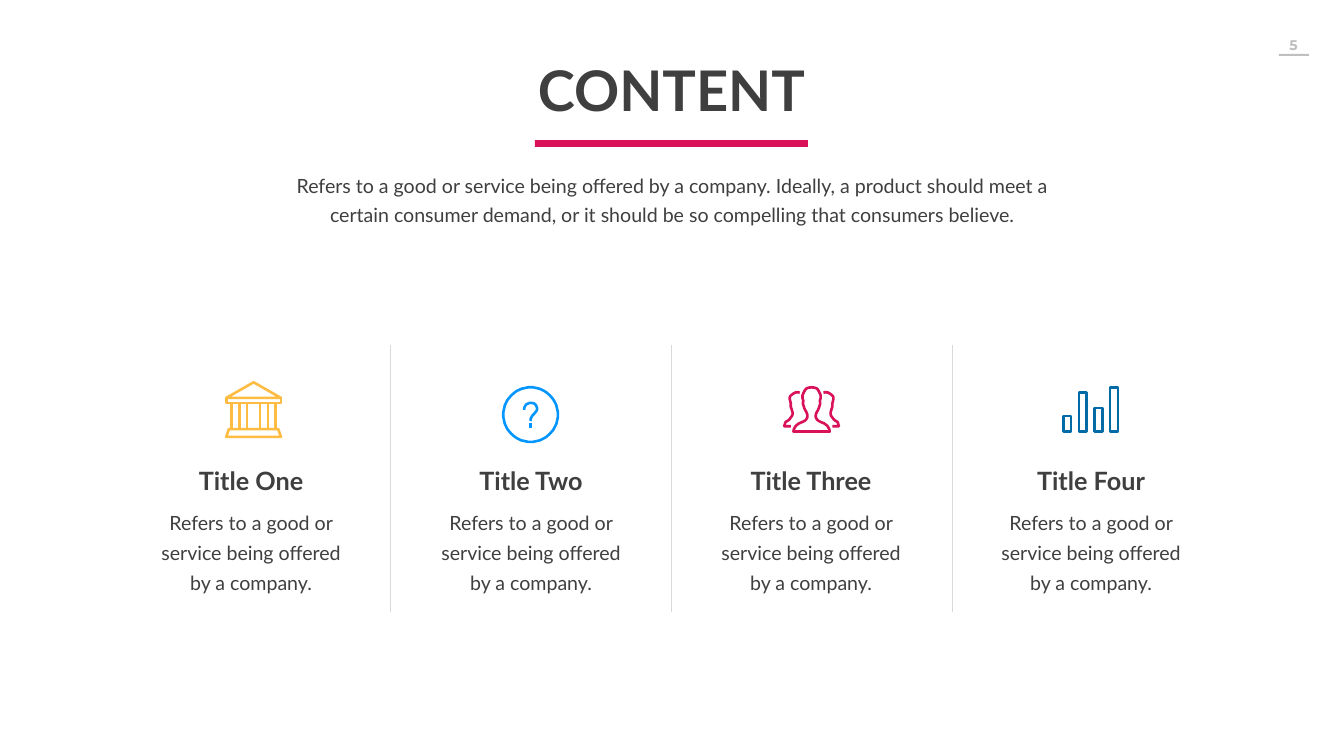
import math

import lxml.etree
import pptx
import pptx.dml.color
import pptx.enum.shapes
import pptx.enum.text
import pptx.oxml.ns
import pptx.util

PX = 914400 / 50.4   # EMU in one px
UNIT = PX * 0.26     # EMU in one icon grid unit; icons are 220 units wide
COLORS = {"dark": "3F3F3F", "gray": "BFBFBF", "rule": "D9D9D9", "red": "D81159",
          "gold": "FFBC42", "sky": "0496FF", "blue": "006BA6"}
SHAPES = pptx.enum.shapes.MSO_SHAPE
qn = pptx.oxml.ns.qn


def px(n):
    return pptx.util.Emu(round(n * PX))


def color(name):
    return pptx.dml.color.RGBColor.from_string(COLORS[name])


# Icon outlines
def box(left, top, right, low):
    return [(left, top), (right, top), (right, low), (left, low), (left, top)]


def flip(pts):
    return [(220 - x, y) for x, y in pts]


def curve(pts, steps=6):
    """Catmull-Rom curve through the points."""
    ends = [pts[0]] + pts + [pts[-1]]
    out = []
    for a, b, c, d in zip(ends, ends[1:], ends[2:], ends[3:]):
        for i in range(steps):
            t = i / steps
            out.append(tuple(
                0.5 * (2 * q + (r - p) * t + (2 * p - 5 * q + 4 * r - s) * t ** 2
                       + (3 * q - p - 3 * r + s) * t ** 3)
                for p, q, r, s in zip(a, b, c, d)))
    return out + [pts[-1]]


def bank():
    roof = [(5, 65), (110, 5), (215, 65), (5, 65)]
    base = [(15, 185), (205, 185), (215, 215), (5, 215), (15, 185)]
    posts = [[(x, 85), (x, 185)] for x in (25, 55, 85, 135, 165, 195)]
    return [roof, box(5, 65, 215, 85), base] + posts


def query():
    ring = [(110 + 105 * math.cos(math.tau * i / 72),
             110 + 105 * math.sin(math.tau * i / 72)) for i in range(72)]
    hook = curve([(85, 92), (87, 81), (95, 70), (111, 65), (127, 70), (135, 85),
                  (132, 97), (118, 113), (111, 124), (110, 135)])
    return [ring + ring[:1], hook, [(110, 143), (110, 160)]]


def people():
    half = curve([(110, 5), (129, 9), (139, 23), (145, 40), (142, 58), (143, 67),
                  (138, 85), (126, 112), (132, 130), (149, 140), (163, 147),
                  (174, 158), (180, 175)])
    side = curve([(156, 26), (164, 24), (180, 29), (194, 44), (190, 66), (190, 79),
                  (183, 108), (197, 130), (210, 139), (215, 155)]) + [(190, 155)]
    return [half + flip(half)[::-1], side, flip(side)]


def bars():
    return [box(5 + 60 * i, top, 35 + 60 * i, 175)
            for i, top in enumerate((115, 25, 85, 5))]


class Deck:
    def __init__(self, wide, high):
        self.font, self.ink = "Lato", "dark"
        self.prs = pptx.Presentation()
        self.prs.slide_width, self.prs.slide_height = px(wide), px(high)
        self.slide = self.prs.slides.add_slide(self.prs.slide_layouts[1])
        self.shapes = self.slide.shapes

    def fill_in(self, shape, text, size, bold=False, lead=1.0, pad=(5, 2),
                font=None, ink=None):
        frame = shape.text_frame
        frame.text = text
        frame.word_wrap = True
        frame.auto_size = pptx.enum.text.MSO_AUTO_SIZE.NONE
        frame.vertical_anchor = pptx.enum.text.MSO_ANCHOR.TOP
        frame.margin_left = frame.margin_right = px(pad[0])
        frame.margin_top = frame.margin_bottom = px(pad[1])
        para = frame.paragraphs[0]
        props = para._p.get_or_add_pPr()
        props.set("marL", "0")
        props.set("indent", "0")
        lxml.etree.SubElement(props, qn("a:buNone"))
        para.alignment = pptx.enum.text.PP_ALIGN.CENTER
        para.line_spacing = lead
        para.space_before = pptx.util.Pt(0)
        para.font.name = font or self.font
        para.font.size = pptx.util.Pt(size)
        para.font.bold = bold
        para.font.color.rgb = color(ink or self.ink)

    def holder(self, i, x, y, w, h, text, size, **style):
        shape = self.slide.placeholders[i]
        shape.left, shape.top, shape.width, shape.height = map(px, (x, y, w, h))
        self.fill_in(shape, text, size, **style)

    def text(self, x, y, w, h, text, size, **style):
        shape = self.shapes.add_textbox(*map(px, (x, y, w, h)))
        self.fill_in(shape, text, size, **style)

    def bar(self, x, y, w, h, fill):
        shape = self.shapes.add_shape(SHAPES.RECTANGLE, *map(px, (x, y, w, h)))
        shape.shadow.inherit = False
        shape.fill.solid()
        shape.fill.fore_color.rgb = color(fill)
        shape.line.fill.background()

    def rule(self, x, top, low):
        line = self.shapes.add_connector(
            pptx.enum.shapes.MSO_CONNECTOR.STRAIGHT, *map(px, (x, top, x, low)))
        line.line.color.rgb = color("rule")
        line.line.width = pptx.util.Pt(0.5)
        lxml.etree.SubElement(line._element.spPr, qn("a:effectLst"))

    def icon(self, x, y, paths, ink):
        pen = self.shapes.build_freeform(*paths[0][0], scale=UNIT)
        for i, pts in enumerate(paths):
            if i:
                pen.move_to(*pts[0])
            pen.add_line_segments(pts[1:], close=pts[0] == pts[-1])
        shape = pen.convert_to_shape(px(x), px(y))
        shape.shadow.inherit = False
        shape.fill.background()
        shape.line.color.rgb = color(ink)
        shape.line.width = pptx.util.Pt(3.7)


def main():
    deck = Deck(1344, 756)

    # Page number
    deck.text(1242, 31, 103, 27, "5", 20, bold=True, pad=(10, 5),
              font="Montserrat", ink="gray")
    deck.bar(1279, 54, 30, 2, "gray")

    # Heading
    deck.holder(0, 503, 54, 337, 73, "CONTENT", 80, bold=True)
    deck.bar(535, 140, 273, 7, "red")
    deck.holder(1, 287, 167, 770, 62,
                "Refers to a good or service being offered by a company. "
                "Ideally, a product should meet a certain consumer demand, "
                "or it should be so compelling that consumers believe.",
                28, lead=pptx.util.Pt(40.7))

    # Dividers
    for i in range(3):
        deck.rule(390 + 281 * i, 345, 612)

    # Columns
    cols = [("Title One", bank(), "gold", 225, 381),
            ("Title Two", query(), "sky", 502, 386),
            ("Title Three", people(), "red", 783, 386),
            ("Title Four", bars(), "blue", 1062, 386)]
    for i, (title, paths, ink, x, y) in enumerate(cols):
        left = 147 + 280 * i
        deck.icon(x, y, paths, ink)
        deck.text(left, 463, 208, 35, title, 36, bold=True)
        deck.text(left, 498, 208, 102,
                  "Refers to a good or service being offered by a company.",
                  28, lead=pptx.util.Pt(43), pad=(12, 6))

    deck.prs.save("out.pptx")


if __name__ == "__main__":
    main()
